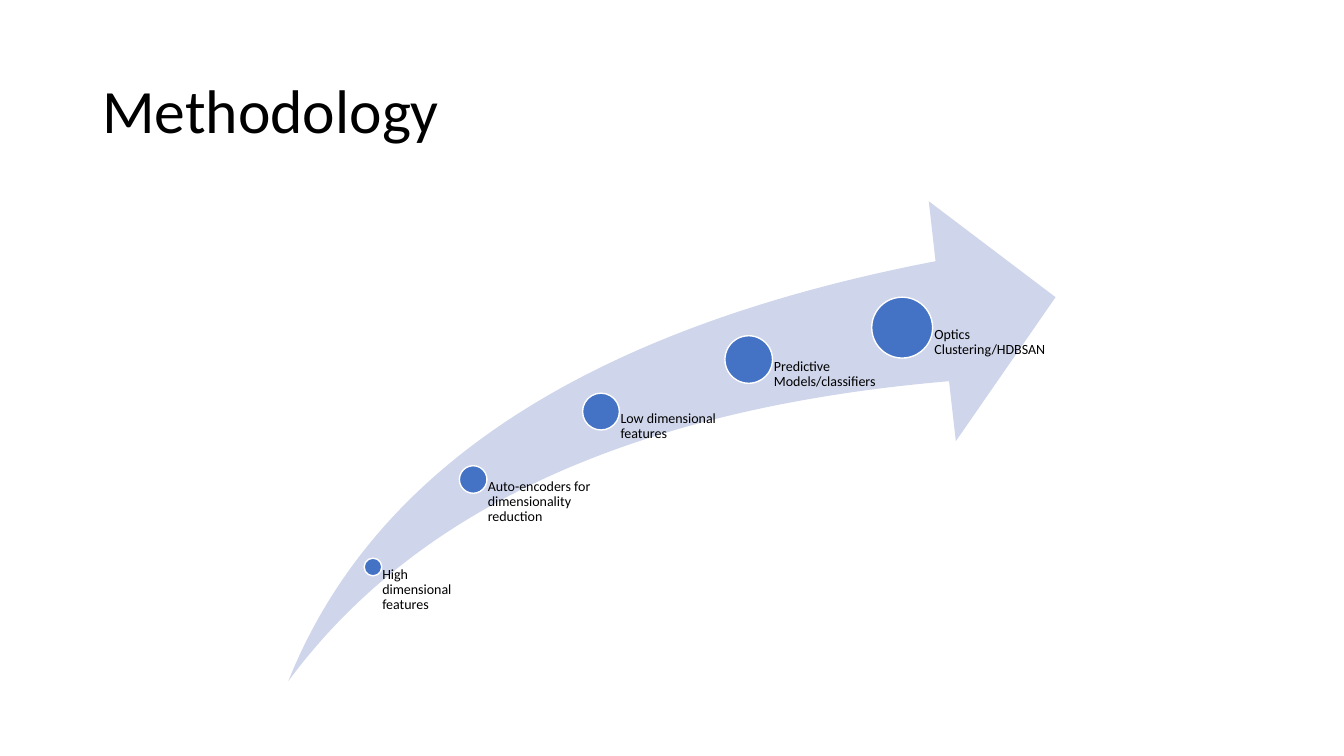
from pptx import Presentation
from pptx.dml.color import RGBColor
from pptx.enum.shapes import MSO_SHAPE
from pptx.enum.text import MSO_ANCHOR
from pptx.util import Pt

SWOOSH, OVAL = MSO_SHAPE.SWOOSH_ARROW, MSO_SHAPE.OVAL
TOP, MIDDLE = MSO_ANCHOR.TOP, MSO_ANCHOR.MIDDLE
FONT = "Calibri"
COLORS = {"ink": "000000", "arrow": "CFD5EA", "dot": "4472C4", "rim": "FFFFFF"}
BASE = 486.5
STEPS = [
    (266.4, 405, 12.6, 72, "High dimensional features"),
    (338, 342.5, 19.7, 90.7, "Auto-encoders for dimensionality reduction"),
    (429.3, 294, 26.3, 105.8, "Low dimensional features"),
    (534.8, 256.8, 34, 109.5, "Predictive Models/classifiers"),
    (644.4, 234, 43.5, 109.5, "Optics Clustering/HDBSAN"),
]


def color(name):
    """Return the named colour."""
    return RGBColor.from_string(COLORS[name])


def add_form(slide, kind, box, fill, rim=None):
    """Add a filled preset shape, with a thin rim if one is named."""
    shape = slide.shapes.add_shape(kind, *map(Pt, box))
    shape.shadow.inherit = False
    shape.fill.solid()
    shape.fill.fore_color.rgb = color(fill)
    if rim:
        shape.line.color.rgb = color(rim)
        shape.line.width = Pt(1)
    else:
        shape.line.fill.background()
    return shape


def add_text(slide, box, text, size, anchor, insets):
    """Add a wrapped text box holding one run."""
    frame = slide.shapes.add_textbox(*map(Pt, box)).text_frame
    frame.word_wrap = True
    frame.vertical_anchor = anchor
    left, top, right, bottom = map(Pt, insets)
    frame.margin_left, frame.margin_right = left, right
    frame.margin_top, frame.margin_bottom = top, bottom
    para = frame.paragraphs[0]
    para.line_spacing = 0.9
    run = para.add_run()
    run.text = text
    run.font.name = FONT
    run.font.size = Pt(size)
    run.font.color.rgb = color("ink")


def add_step(slide, x, y, size, width, text):
    """Add a dot centred on x, y with its label to the lower right."""
    add_form(slide, OVAL, (x - size / 2, y - size / 2, size, size), "dot", "rim")
    add_text(slide, (x, y, width, BASE - y), text, 10, TOP, (size * 0.53, 0, 0, 0))


def main():
    """Build the slide and save it."""
    deck = Presentation()
    deck.slide_width, deck.slide_height = Pt(960), Pt(540)
    slide = deck.slides.add_slide(deck.slide_layouts[6])
    add_text(slide, (66, 28.75, 828, 104.4), "Methodology", 44, MIDDLE,
             (7.2, 3.6, 7.2, 3.6))
    arrow = add_form(slide, SWOOSH, (206, 143.75, 548, BASE - 143.75), "arrow")
    arrow.adjustments[0] = arrow.adjustments[1] = 0.25
    for step in STEPS:
        add_step(slide, *step)
    deck.save("out.pptx")


if __name__ == "__main__":
    main()
